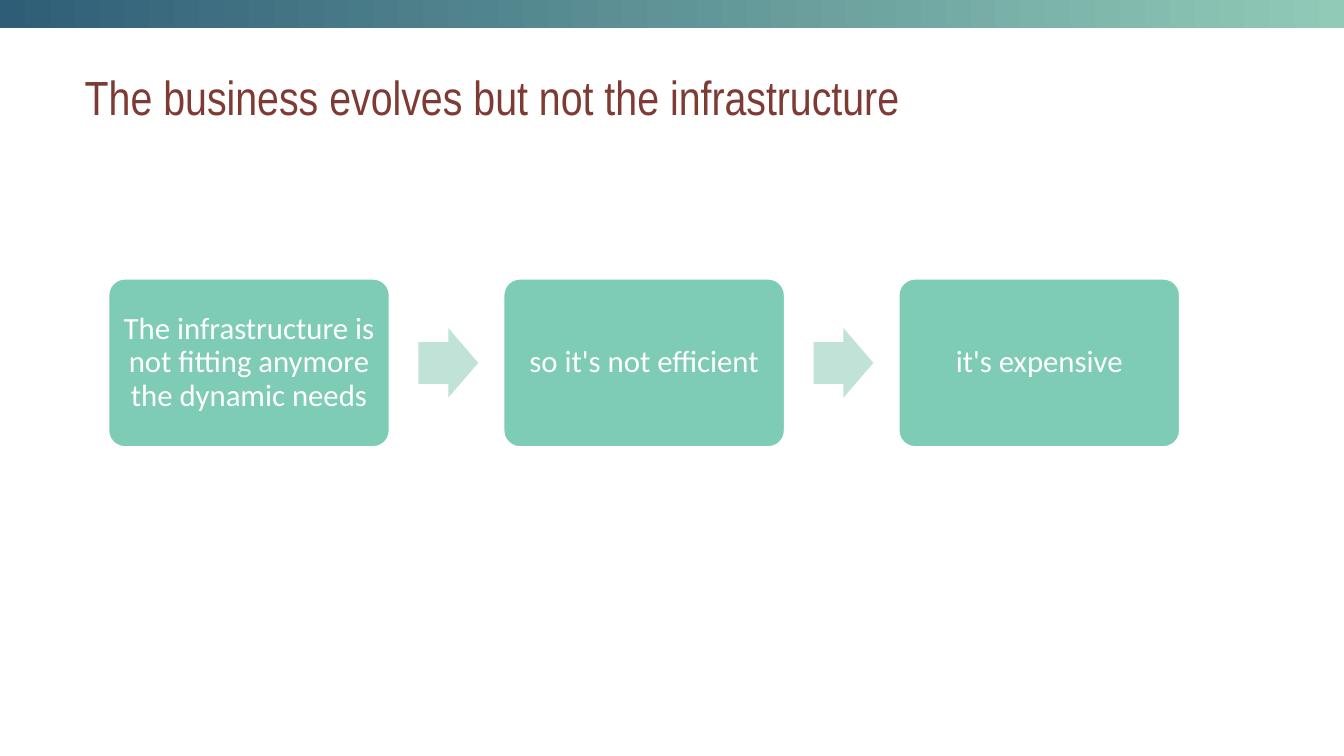
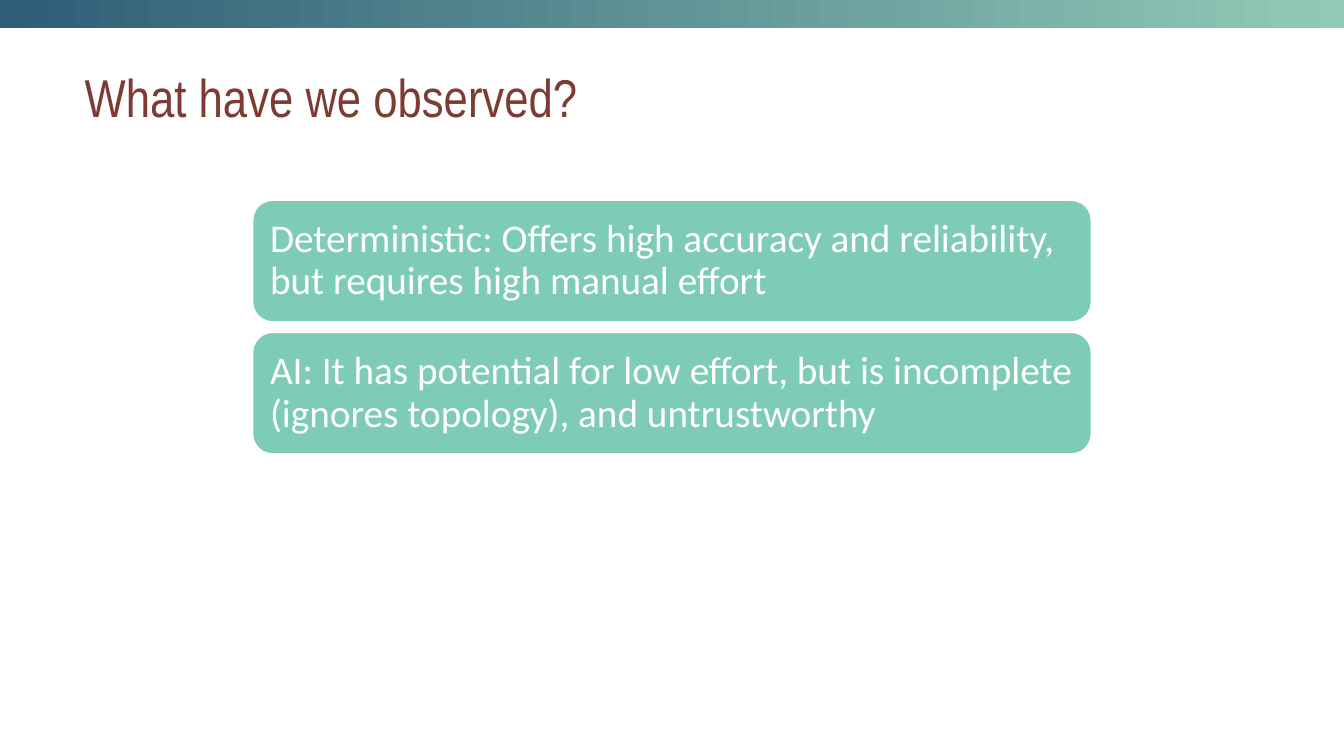
from pptx import Presentation
from pptx.dml.color import RGBColor
from pptx.enum.shapes import MSO_SHAPE
from pptx.enum.text import MSO_ANCHOR, PP_ALIGN
from pptx.util import Inches, Pt

NAVY = RGBColor(0x2E, 0x5E, 0x77)
SAGE = RGBColor(0x91, 0xCA, 0xB7)
MINT = RGBColor(0x7E, 0xCB, 0xB6)
PALE_MINT = RGBColor(0xC0, 0xE2, 0xD7)
MAROON = RGBColor(0x7E, 0x3B, 0x34)
WHITE = RGBColor(0xFE, 0xFF, 0xFE)
TITLE_FONT, BODY_FONT = "Arial Narrow", "Calibri"


def write(sp, text, size, color, font=BODY_FONT, align=PP_ALIGN.LEFT,
          inset=0.05, spacing=None):
    tf = sp.text_frame
    tf.word_wrap = True
    tf.vertical_anchor = MSO_ANCHOR.MIDDLE
    tf.margin_left = tf.margin_right = Inches(inset)
    tf.margin_top = tf.margin_bottom = Inches(inset)
    p = tf.paragraphs[0]
    p.alignment = align
    p.line_spacing = spacing
    r = p.add_run()
    r.text = text
    r.font.name, r.font.size = font, Pt(size)
    r.font.color.rgb = color


class Deck:
    """Holds the style and the current slide; lengths are percent of the slide."""

    def __init__(self):
        self.prs = Presentation()
        self.prs.slide_width, self.prs.slide_height = Inches(13.33), Inches(7.5)
        self.slide = None

    def box(self, left, top, width, height):
        """Turn percentages into lengths on the slide."""
        w, h = self.prs.slide_width, self.prs.slide_height
        return (int(w * left / 100), int(h * top / 100),
                int(w * width / 100), int(h * height / 100))

    def new_slide(self, title, size):
        self.slide = self.prs.slides.add_slide(self.prs.slide_layouts[5])
        self.band()
        sp = self.slide.shapes.title
        sp.left, sp.top, sp.width, sp.height = self.box(5.93, 6.93, 74.2, 11.6)
        write(sp, title, size, MAROON, font=TITLE_FONT)

    def shape(self, kind, *place):
        sp = self.slide.shapes.add_shape(kind, *self.box(*place))
        sp.shadow.inherit = False
        sp.line.fill.background()
        return sp

    def band(self):
        fill = self.shape(MSO_SHAPE.RECTANGLE, 0, 0, 100, 3.73).fill
        fill.gradient()
        fill.gradient_angle = 180
        for stop, color in zip(fill.gradient_stops, (SAGE, NAVY)):
            stop.color.rgb = color

    def card(self, text, *place, corner=0.1667, **text_format):
        sp = self.shape(MSO_SHAPE.ROUNDED_RECTANGLE, *place)
        sp.adjustments[0] = corner
        sp.fill.solid()
        sp.fill.fore_color.rgb = MINT
        sp.line.color.rgb, sp.line.width = WHITE, Pt(2)
        write(sp, text, color=WHITE, spacing=0.9, **text_format)

    def arrow(self, *place):
        sp = self.shape(MSO_SHAPE.RIGHT_ARROW, *place)
        sp.adjustments[0], sp.adjustments[1] = 0.6, 0.5
        sp.fill.solid()
        sp.fill.fore_color.rgb = PALE_MINT

    def process(self, steps):
        """Cards in a row, with an arrow between neighbours."""
        left, top, width, height = 8.03, 36.8, 21, 22.4
        arrow_width, arrow_height = 4.45, 9.2
        for i, text in enumerate(steps):
            x = left + 1.4 * width * i
            if i:
                self.arrow(x - 0.3 * width, top + (height - arrow_height) / 2,
                           arrow_width, arrow_height)
            self.card(text, x, top, width, height, corner=0.1, size=22,
                      align=PP_ALIGN.CENTER, inset=0.09)

    def stack(self, points):
        """Full-width cards, one below the other."""
        left, top, width, height, gap = 18.75, 26.4, 62.5, 16.27, 1.2
        for i, text in enumerate(points):
            self.card(text, left, top + (height + gap) * i, width, height,
                      size=28, inset=0.12)


def main():
    deck = Deck()
    deck.new_slide("The business evolves but not the infrastructure", 34.2)
    deck.process(["The infrastructure is not fitting anymore the dynamic needs",
                  "so it's not efficient",
                  "it's expensive"])
    deck.new_slide("What have we observed?", 38)
    deck.stack(["Deterministic: Offers high accuracy and reliability, "
                "but requires high manual effort",
                "AI: It has potential for low effort, but is incomplete "
                "(ignores topology), and untrustworthy"])
    deck.prs.save("out.pptx")


if __name__ == "__main__":
    main()
